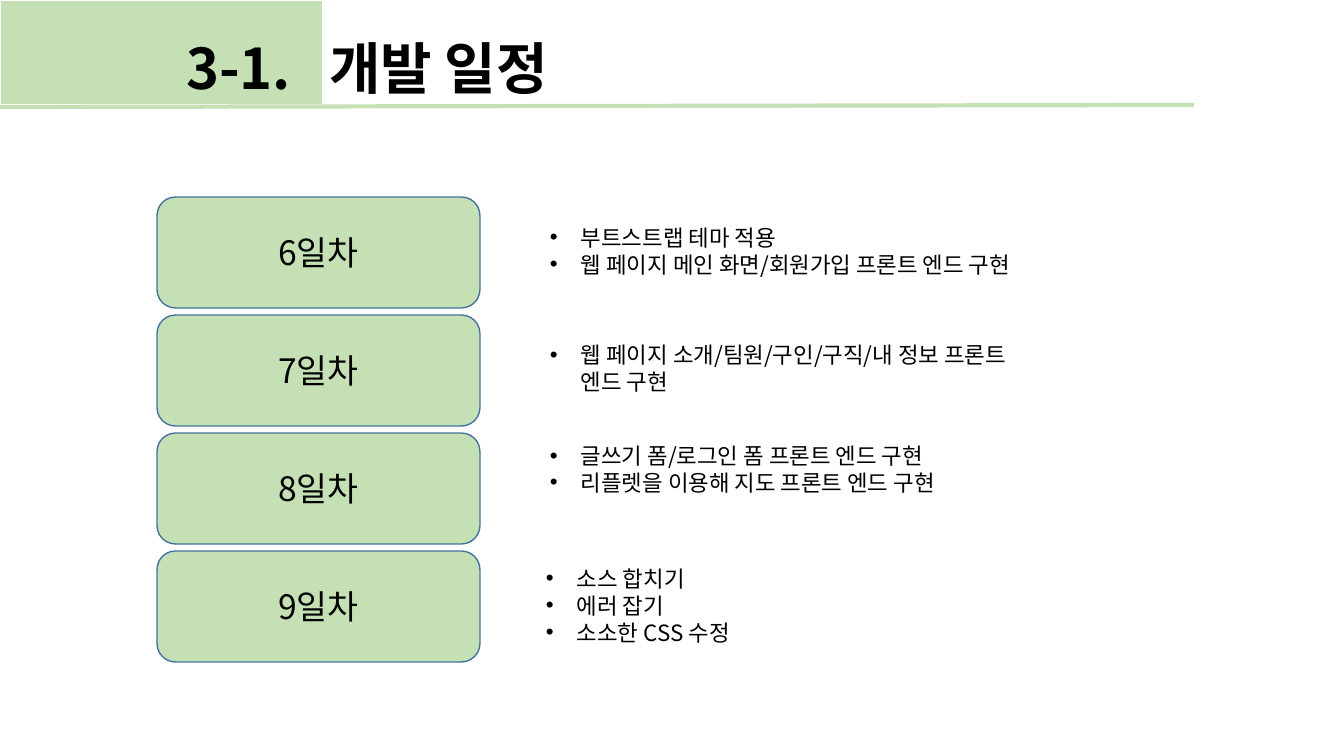
from dataclasses import dataclass

from lxml.etree import SubElement
from pptx import Presentation
from pptx.dml.color import RGBColor
from pptx.enum.shapes import MSO_CONNECTOR, MSO_SHAPE
from pptx.enum.text import MSO_ANCHOR, MSO_AUTO_SIZE, PP_ALIGN
from pptx.oxml.ns import qn
from pptx.shapes.autoshape import Shape
from pptx.slide import Slide
from pptx.text.text import _Paragraph as Paragraph
from pptx.util import Emu, Pt

FONT = "Noto Sans CJK KR"
GREEN, BLUE, BLACK, WHITE = "C5E0B4", "43739E", "000000", "FFFFFF"
DAY_LEFT, DAY_TOP, DAY_WIDTH, DAY_HEIGHT, DAY_PITCH = 157, 197, 323, 111, 118
TASK_WIDTH, BULLET_INDENT = 488, 31


@dataclass(frozen=True)
class Day:
    label: str
    task_left: int
    task_top: int
    task_height: int
    tasks: tuple[str, ...]


DAYS = (
    Day("6일차", 540, 219, 92, ("부트스트랩 테마 적용", "웹 페이지 메인 화면/회원가입 프론트 엔드 구현")),
    Day("7일차", 540, 336, 65, ("웹 페이지 소개/팀원/구인/구직/내 정보 프론트 엔드 구현",)),
    Day("8일차", 540, 437, 65, ("글쓰기 폼/로그인 폼 프론트 엔드 구현", "리플렛을 이용해 지도 프론트 엔드 구현")),
    Day("9일차", 536, 560, 92, ("소스 합치기", "에러 잡기", "소소한 CSS 수정")),
)


def px(length: int) -> Emu:
    return Emu(round(length * 914400 / 100.8))


def color(value: str) -> RGBColor:
    return RGBColor.from_string(value)


def add_text(paragraph: Paragraph, text: str, size: int, bold: bool = False) -> None:
    run = paragraph.add_run()
    run.text = text
    run.font.name = FONT
    run.font.size = Pt(size)
    run.font.bold = bold
    run.font.color.rgb = color(BLACK)
    SubElement(run.font._element, qn("a:ea"), typeface=FONT)


def add_box(slide: Slide, kind: MSO_SHAPE, left: int, top: int, width: int, height: int, outline: str) -> Shape:
    shape = slide.shapes.add_shape(kind, px(left), px(top), px(width), px(height))
    shape.shadow.inherit = False
    shape.fill.solid()
    shape.fill.fore_color.rgb = color(GREEN)
    shape.line.color.rgb = color(outline)
    shape.line.width = Pt(1)
    return shape


def add_header(slide: Slide) -> None:
    add_box(slide, MSO_SHAPE.RECTANGLE, 0, 0, 323, 105, WHITE)
    rule = slide.shapes.add_connector(MSO_CONNECTOR.STRAIGHT, px(0), px(107), px(1194), px(105))
    rule.line.color.rgb = color(GREEN)
    rule.line.width = Pt(3)
    SubElement(rule._element.spPr, qn("a:effectLst"))

    title = slide.shapes.title
    title.left, title.top, title.width, title.height = px(176), px(28), px(413), px(78)
    frame = title.text_frame
    frame.word_wrap = False
    frame.auto_size = MSO_AUTO_SIZE.SHAPE_TO_FIT_TEXT
    frame.vertical_anchor = MSO_ANCHOR.TOP
    paragraph = frame.paragraphs[0]
    paragraph.alignment = PP_ALIGN.LEFT
    tabs = SubElement(paragraph._p.get_or_add_pPr(), qn("a:tabLst"))
    SubElement(tabs, qn("a:tab"), pos=str(px(143)), algn="l")
    add_text(paragraph, "3-1.\t개발 일정", 40, bold=True)
    # The title sits in front of the green block.
    title._element.getparent().append(title._element)


def add_bullet(paragraph: Paragraph) -> None:
    properties = paragraph._p.get_or_add_pPr()
    properties.set("marL", str(px(BULLET_INDENT)))
    properties.set("indent", str(-px(BULLET_INDENT)))
    SubElement(properties, qn("a:buFont"), typeface="Arial")
    SubElement(properties, qn("a:buChar"), char="•")


def add_day(slide: Slide, row: int, day: Day) -> None:
    top = DAY_TOP + row * DAY_PITCH
    box = add_box(slide, MSO_SHAPE.ROUNDED_RECTANGLE, DAY_LEFT, top, DAY_WIDTH, DAY_HEIGHT, BLUE)
    box.text_frame.vertical_anchor = MSO_ANCHOR.MIDDLE
    paragraph = box.text_frame.paragraphs[0]
    paragraph.alignment = PP_ALIGN.CENTER
    add_text(paragraph, day.label, 24)

    tasks = slide.shapes.add_textbox(px(day.task_left), px(day.task_top), px(TASK_WIDTH), px(day.task_height))
    frame = tasks.text_frame
    frame.word_wrap = True
    frame.auto_size = MSO_AUTO_SIZE.SHAPE_TO_FIT_TEXT
    for index, task in enumerate(day.tasks):
        paragraph = frame.add_paragraph() if index else frame.paragraphs[0]
        add_bullet(paragraph)
        add_text(paragraph, task, 16)


def main() -> None:
    presentation = Presentation()
    presentation.slide_width, presentation.slide_height = px(1344), px(756)
    slide = presentation.slides.add_slide(presentation.slide_layouts[5])
    add_header(slide)
    for row, day in enumerate(DAYS):
        add_day(slide, row, day)
    presentation.save("out.pptx")


if __name__ == "__main__":
    main()
